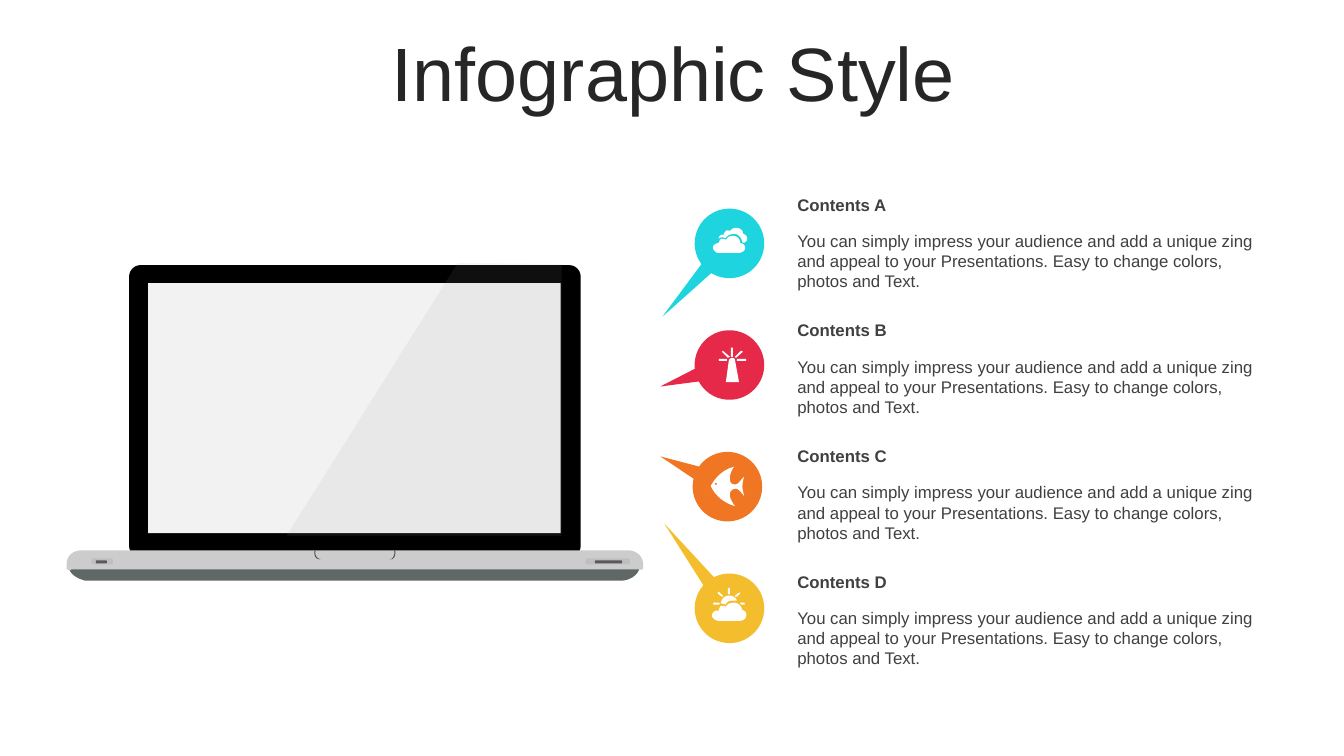
"""Build a slide with a laptop and four labelled callouts."""
from lxml import etree
from pptx import Presentation
from pptx import util as u
from pptx.dml.color import RGBColor
from pptx.enum import shapes, text
from pptx.oxml.ns import qn

BLACK = RGBColor(0x00, 0x00, 0x00)
WHITE = RGBColor(0xFF, 0xFF, 0xFF)
TITLE = RGBColor(0x26, 0x26, 0x26)
BODY = RGBColor(0x40, 0x40, 0x40)
UNDERSIDE = RGBColor(0x5F, 0x67, 0x67)
SCREEN = RGBColor(0xF2, 0xF2, 0xF2)
BASE = RGBColor(0xCC, 0xCC, 0xCC)
NOTCH = RGBColor(0x4D, 0x4D, 0x4D)
PORT = RGBColor(0xBF, 0xBF, 0xBF)
SLOT = RGBColor(0x59, 0x59, 0x59)
GLARE = RGBColor(0x99, 0x99, 0x99)
CYAN = RGBColor(0x1E, 0xD4, 0xDE)
RED = RGBColor(0xE6, 0x29, 0x49)
ORANGE = RGBColor(0xF0, 0x76, 0x24)
YELLOW = RGBColor(0xF4, 0xBD, 0x2D)

UNDERSIDE_PATH = """M 618 576 C 618 576 630 575 634 565 C 634 562 632 560 629 560
L 82 562 L 75 562 C 72 562 69 564 69 566 C 73 573 81 575 84 576"""
BASE_PATH = """M 81 546 L 623 546 C 631 546 638 552 638 560 L 638 563
C 638 563 639 566 633 565 L 71 565 C 69 566 66 566 66 563 L 66 560
C 66 552 72 546 81 546"""
NOTCH_PATH = """M 391 546 L 392 546 C 393 554 389 555 386 555 C 389 555 392 552 391 546
M 312 546 L 313 546 C 313 546 311 553 318 555 C 310 555 312 546 312 546"""
GLARE_PATH = "M 454 261 L 557 262 L 557 532 L 284 532"

CLOUDS = """M 727 234 L 728 234 C 733 235 734 239 734 241 C 739 242 739 245 739 247
C 738 250 734 251 732 251 L 713 251 C 711 251 709 250 708 248
C 707 247 707 245 708 243 C 708 243 711 241 713 241 C 713 240 714 238 715 237
C 717 237 719 237 720 238 C 721 236 723 234 727 234
M 731 226 C 736 227 737 230 737 232 C 741 233 741 236 741 238
C 741 239 739 240 738 241 C 737 241 737 240 736 240 C 736 238 734 233 729 232
C 723 232 720 235 720 236 C 718 236 716 235 714 236 C 714 236 713 237 713 237
C 713 236 713 235 713 235 C 714 234 716 232 718 233 C 718 231 719 230 720 229
C 721 228 723 229 724 229 C 725 228 727 226 731 226"""
LIGHTHOUSE = """M 726 357 C 726 357 725 357 724 358 C 725 358 726 357 726 357
C 727 357 728 358 728 358 C 728 357 727 357 726 357
M 731 356 L 740 356 L 740 358 L 731 358 M 713 356 L 721 356 L 721 358 L 713 358
M 726 355 C 728 355 729 356 729 357 L 733 379 L 720 379 L 723 357
C 724 356 725 355 726 355
M 735 348 L 737 349 L 730 355 L 729 354 M 717 348 L 724 354 L 722 355 L 716 349
M 725 345 L 727 345 L 727 354 L 725 354"""
FISH = """M 710 479 C 710 479 709 479 709 480 C 709 481 710 481 710 481
C 711 481 711 481 711 480 C 711 479 711 479 710 479
M 728 463 C 724 469 722 477 726 480 C 732 482 732 479 738 473
C 735 483 737 487 738 492 C 735 489 732 482 726 486 C 722 489 724 496 729 502
C 720 500 709 492 705 482 C 707 479 713 467 728 463"""
SUN_CLOUD = """M 734 598 L 738 598 L 739 599 L 738 600 L 735 600
M 708 598 L 713 598 L 714 599 L 713 600 L 708 600 L 707 599
M 728 598 L 729 598 C 734 599 736 603 736 605 C 740 606 741 610 740 611
C 740 615 735 616 734 616 L 713 616 C 711 616 709 615 707 613
C 706 612 706 609 707 608 C 708 607 710 605 713 606 C 713 604 714 602 715 601
C 717 601 719 601 720 602 C 721 600 723 598 728 598
M 723 591 C 727 591 730 593 731 596 L 728 596 C 723 595 720 598 720 600
C 719 599 717 599 715 599 C 715 594 719 591 723 591
M 733 588 L 734 588 L 734 589 L 731 592 L 729 592 L 729 591
M 713 587 L 717 591 L 717 592 L 716 592 L 712 589 L 712 588
M 723 583 L 724 584 L 724 589 L 723 590 L 722 589 L 722 584"""

DESCRIPTION = ("You can simply impress your audience and add a unique zing and appeal to "
               "your Presentations. Easy to change colors, photos and Text.")
CONTENTS = [
    ("Contents A", CYAN, 6.89, (-0.373, 1.379), CLOUDS),
    ("Contents B", RED, 6.89, (-0.742, 0.73), LIGHTHOUSE),
    ("Contents C", ORANGE, 6.87, (-1.058, 0.056), FISH),
    ("Contents D", YELLOW, 6.89, (-1.391, -0.654), SUN_CLOUD),
]
CALLOUT_STEP = (5.69 - 2.07) / 3
LABEL_STEP = (5.62 - 1.88) / 3


def box(*lengths):
    return [u.Inches(n) for n in lengths]


def write(tf, words, size=12, color=BODY, bold=False, align=text.PP_ALIGN.LEFT, spacing=1.0):
    tf.word_wrap = True
    p = tf.paragraphs[0]
    p.alignment, p.line_spacing, p.space_before = align, spacing, u.Pt(0)
    r = p.add_run()
    r.text = words
    r.font.name, r.font.size, r.font.bold = "Arial", u.Pt(size), bold
    r.font.color.rgb = color


def contours(outline, steps=8):
    tokens = iter(outline.split())

    def point():
        return int(next(tokens)) * 10, int(next(tokens)) * 10

    found = []
    for command in tokens:
        if command == "M":
            found.append([point()])
        elif command == "L":
            found[-1].append(point())
        else:
            start = found[-1][-1]
            curve = (start, point(), point(), point())
            for i in range(1, steps + 1):
                t = i / steps
                weights = ((1 - t) ** 3, 3 * t * (1 - t) ** 2, 3 * t * t * (1 - t), t ** 3)
                found[-1].append(tuple(sum(w * c[axis] for w, c in zip(weights, curve))
                                       for axis in (0, 1)))
    return found


class Slide:
    def __init__(self, prs):
        self.s = prs.slides.add_slide(prs.slide_layouts[5])

    def paint(self, sp, color, opacity=100):
        sp.shadow.inherit = False
        sp.fill.solid()
        sp.fill.fore_color.rgb = color
        sp.line.fill.background()
        if opacity < 100:
            rgb = sp.fill._xPr.find(".//" + qn("a:srgbClr"))
            etree.SubElement(rgb, qn("a:alpha"), val=str(opacity * 1000))
        return sp

    def title(self, words):
        sp = self.s.shapes.title
        sp.left, sp.top, sp.width, sp.height = box(0.35, 0.37, 12.66, 0.79)
        tf = sp.text_frame
        tf.auto_size = text.MSO_AUTO_SIZE.NONE
        tf.vertical_anchor = text.MSO_ANCHOR.MIDDLE
        write(tf, words, size=54, color=TITLE, align=text.PP_ALIGN.CENTER, spacing=0.9)

    def label(self, words, *place, **style):
        tf = self.s.shapes.add_textbox(*box(*place)).text_frame
        write(tf, words, **style)
        tf.auto_size = text.MSO_AUTO_SIZE.SHAPE_TO_FIT_TEXT

    def shape(self, kind, color, *place, adjust=(), rotation=0):
        sp = self.paint(self.s.shapes.add_shape(kind, *box(*place)), color)
        for i, value in enumerate(adjust):
            sp.adjustments[i] = value
        sp.rotation = rotation

    def outline(self, outline, color, opacity=100):
        first, *rest = contours(outline)
        builder = self.s.shapes.build_freeform(*first[0], scale=u.Inches(1) / 1000)
        builder.add_line_segments(first[1:], close=True)
        for points in rest:
            builder.move_to(*points[0])
            builder.add_line_segments(points[1:], close=True)
        self.paint(builder.convert_to_shape(), color, opacity)


def draw_laptop(slide):
    rounded = shapes.MSO_SHAPE.ROUNDED_RECTANGLE
    slide.outline(UNDERSIDE_PATH, UNDERSIDE)
    slide.shape(rounded, BLACK, 1.28, 2.63, 4.48, 2.9, adjust=[0.04])
    slide.shape(shapes.MSO_SHAPE.RECTANGLE, SCREEN, 1.47, 2.81, 4.09, 2.48)
    slide.outline(BASE_PATH, BASE)
    slide.outline(NOTCH_PATH, NOTCH)
    for port, port_width, slot, slot_width in ((0.91, 0.21, 0.95, 0.11), (5.81, 0.44, 5.9, 0.27)):
        slide.shape(rounded, PORT, port, 5.54, port_width, 0.06, adjust=[0.28])
        slide.shape(rounded, SLOT, slot, 5.56, slot_width, 0.03, adjust=[0.28])
    slide.outline(GLARE_PATH, GLARE, opacity=10)


def main():
    prs = Presentation()
    prs.slide_width, prs.slide_height = box(13.33, 7.5)
    slide = Slide(prs)
    slide.title("Infographic Style")
    draw_laptop(slide)
    for i, (heading, color, left, tail, icon) in enumerate(CONTENTS):
        slide.shape(shapes.MSO_SHAPE.OVAL_CALLOUT, color, left, 2.07 + i * CALLOUT_STEP,
                    0.69, 0.69, adjust=tail, rotation=27.3)
        slide.outline(icon, WHITE)
        top = 1.88 + i * LABEL_STEP
        slide.label(heading, 7.81, top, 4.84, 0.3, bold=True)
        slide.label(DESCRIPTION, 7.81, top + 0.36, 4.84, 0.71)
    prs.save("out.pptx")


if __name__ == "__main__":
    main()
